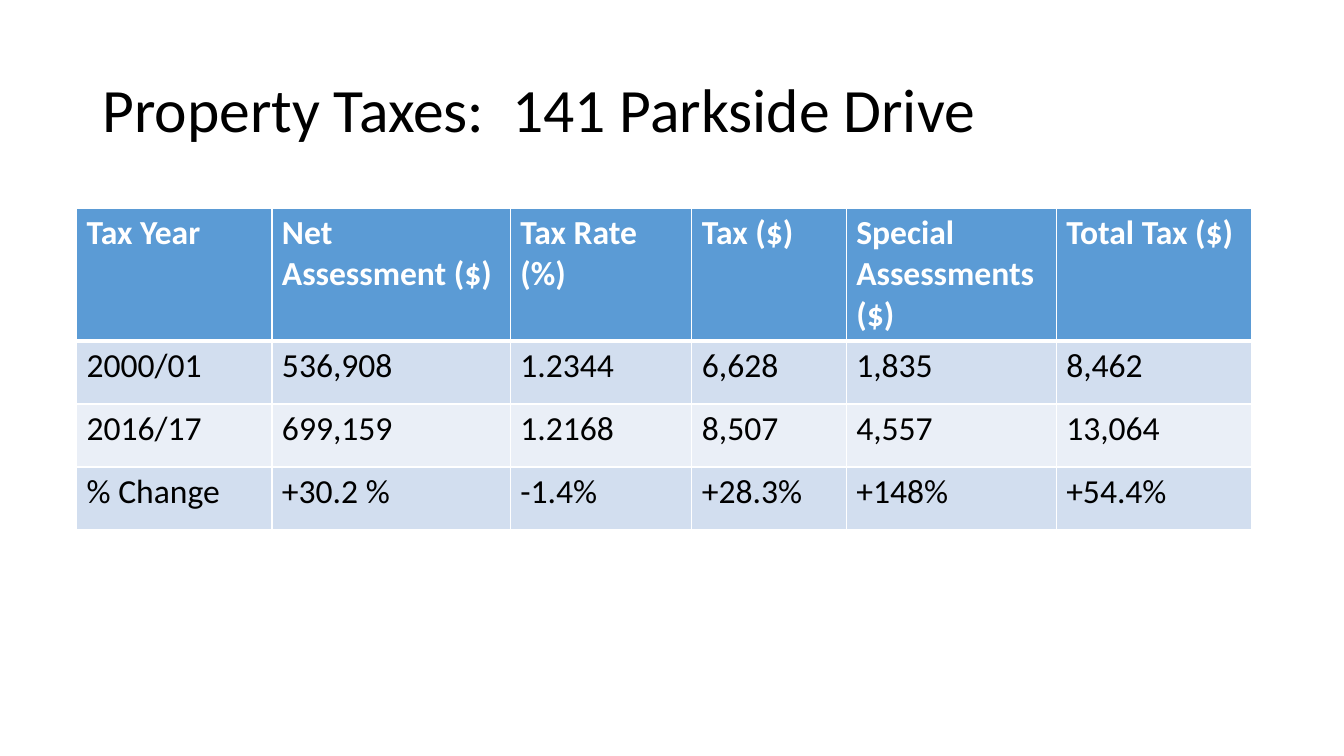
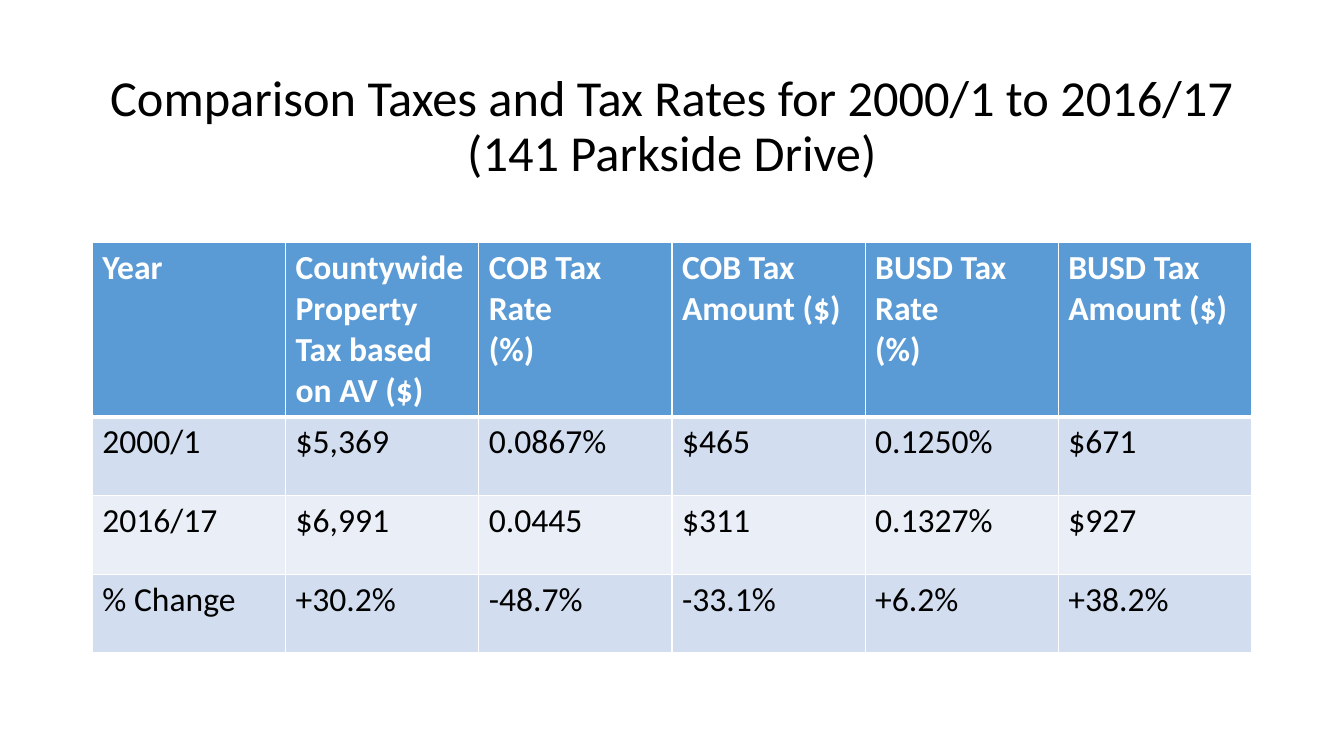
from dataclasses import dataclass

from lxml.etree import SubElement
from pptx import Presentation
from pptx.dml.color import RGBColor as Rgb
from pptx.enum.text import MSO_ANCHOR as Anchor, MSO_AUTO_SIZE as AutoSize, PP_ALIGN as Align
from pptx.oxml.ns import qn
from pptx.util import Emu, Pt

EMU_PER_PX = 9525  # 96 px to the inch
TITLE_ONLY = 5


def px(length):
    return Emu(length * EMU_PER_PX)


@dataclass(frozen=True)
class Theme:
    font: str = "Calibri"
    ink: str = "000000"
    paper: str = "FFFFFF"
    header: str = "5B9BD5"
    bands: tuple = ("D2DEEF", "EAEFF7")
    title_size: int = 44
    long_title_size: int = 36
    table_size: int = 24
    rule: int = 1
    header_rule: int = 3


class Deck:
    """Holds the theme and the slide being filled."""

    def __init__(self, theme):
        self.theme = theme
        self.prs = Presentation()
        self.prs.slide_width, self.prs.slide_height = px(1280), px(720)
        self.slide = None

    def add_slide(self):
        self.slide = self.prs.slides.add_slide(self.prs.slide_layouts[TITLE_ONLY])

    def format_text(self, paragraph, color, **font_values):
        font = paragraph.font
        font.color.rgb = Rgb.from_string(color)
        for name, value in {"name": self.theme.font, **font_values}.items():
            setattr(font, name, value)

    def title(self, text, height, size, align=Align.LEFT):
        title = self.slide.shapes.title
        place = {"left": 88, "top": 38, "width": 1104, "height": height}
        for name, value in place.items():
            setattr(title, name, px(value))
        frame = title.text_frame
        frame_values = {
            "text": text,
            "word_wrap": True,
            "auto_size": AutoSize.NONE,
            "vertical_anchor": Anchor.MIDDLE,
        }
        for name, value in frame_values.items():
            setattr(frame, name, value)
        paragraph = frame.paragraphs[0]
        paragraph.alignment = align
        paragraph.line_spacing = 0.9
        self.format_text(paragraph, self.theme.ink, size=Pt(size), bold=False)

    def cell_borders(self, cell, top, bottom):
        """Draw the four borders; must run before the cell is filled."""
        properties = cell._tc.get_or_add_tcPr()
        rule = self.theme.rule
        widths = {"a:lnL": rule, "a:lnR": rule, "a:lnT": top, "a:lnB": bottom}
        for tag, width in widths.items():
            line = SubElement(properties, qn(tag), w=str(Pt(width)))
            fill = SubElement(line, qn("a:solidFill"))
            SubElement(fill, qn("a:srgbClr"), val=self.theme.paper)

    def table(self, left, top, columns, header_height, row_height, rows):
        theme = self.theme
        heights = [header_height] + [row_height] * (len(rows) - 1)
        table = self.slide.shapes.add_table(
            len(rows), len(columns),
            px(left), px(top), px(sum(columns)), px(sum(heights)),
        ).table
        table.horz_banding = False
        for column, width in zip(table.columns, columns):
            column.width = px(width)
        for index, (values, height) in enumerate(zip(rows, heights)):
            table.rows[index].height = px(height)
            is_header = index == 0
            fill = theme.header if is_header else theme.bands[(index - 1) % 2]
            color = theme.paper if is_header else theme.ink
            top_rule = theme.header_rule if index == 1 else theme.rule
            bottom_rule = theme.header_rule if is_header else theme.rule
            for cell, value in zip(table.rows[index].cells, values):
                self.cell_borders(cell, top_rule, bottom_rule)
                cell.fill.solid()
                cell.fill.fore_color.rgb = Rgb.from_string(fill)
                cell.text = value
                for paragraph in cell.text_frame.paragraphs:
                    self.format_text(paragraph, color, size=Pt(theme.table_size), bold=is_header)


PROPERTY_TAXES = [
    ("Tax Year", "Net Assessment ($)", "Tax Rate (%)", "Tax ($)",
     "Special Assessments ($)", "Total Tax ($)"),
    ("2000/01", "536,908", "1.2344", "6,628", "1,835", "8,462"),
    ("2016/17", "699,159", "1.2168", "8,507", "4,557", "13,064"),
    ("% Change", "+30.2 %", "-1.4%", "+28.3%", "+148%", "+54.4%"),
]

TAX_COMPARISON = [
    ("Year", "Countywide Property Tax based on AV ($)", "COB Tax Rate\n(%)",
     "COB Tax Amount ($)", "BUSD Tax Rate\n(%)", "BUSD Tax Amount ($)"),
    ("2000/1", "$5,369", "0.0867%", "$465", "0.1250%", "$671"),
    ("2016/17", "$6,991", "0.0445", "$311", "0.1327%", "$927"),
    ("% Change", "+30.2%", "-48.7%", "-33.1%", "+6.2%", "+38.2%"),
]


def main():
    theme = Theme()
    deck = Deck(theme)

    deck.add_slide()
    deck.title("Property Taxes:  141 Parkside Drive", 139, theme.title_size)
    deck.table(73, 198, [186, 227, 173, 147, 200, 186], 126, 60, PROPERTY_TAXES)

    deck.add_slide()
    deck.title(
        "Comparison Taxes and Tax Rates for 2000/1 to 2016/17\v(141 Parkside Drive)",
        167, theme.long_title_size, Align.CENTER,
    )
    deck.table(88, 231, [184] * 6, 165, 75, TAX_COMPARISON)

    deck.prs.save("out.pptx")


if __name__ == "__main__":
    main()
